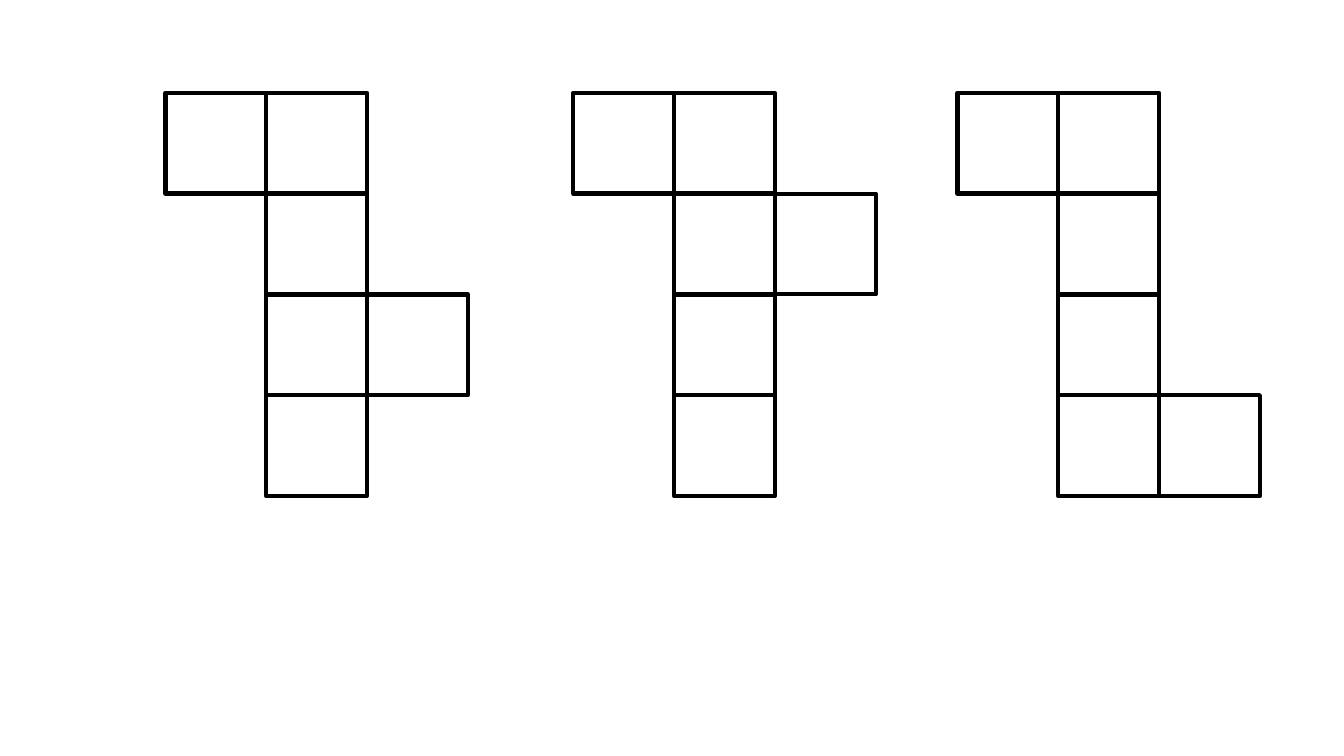
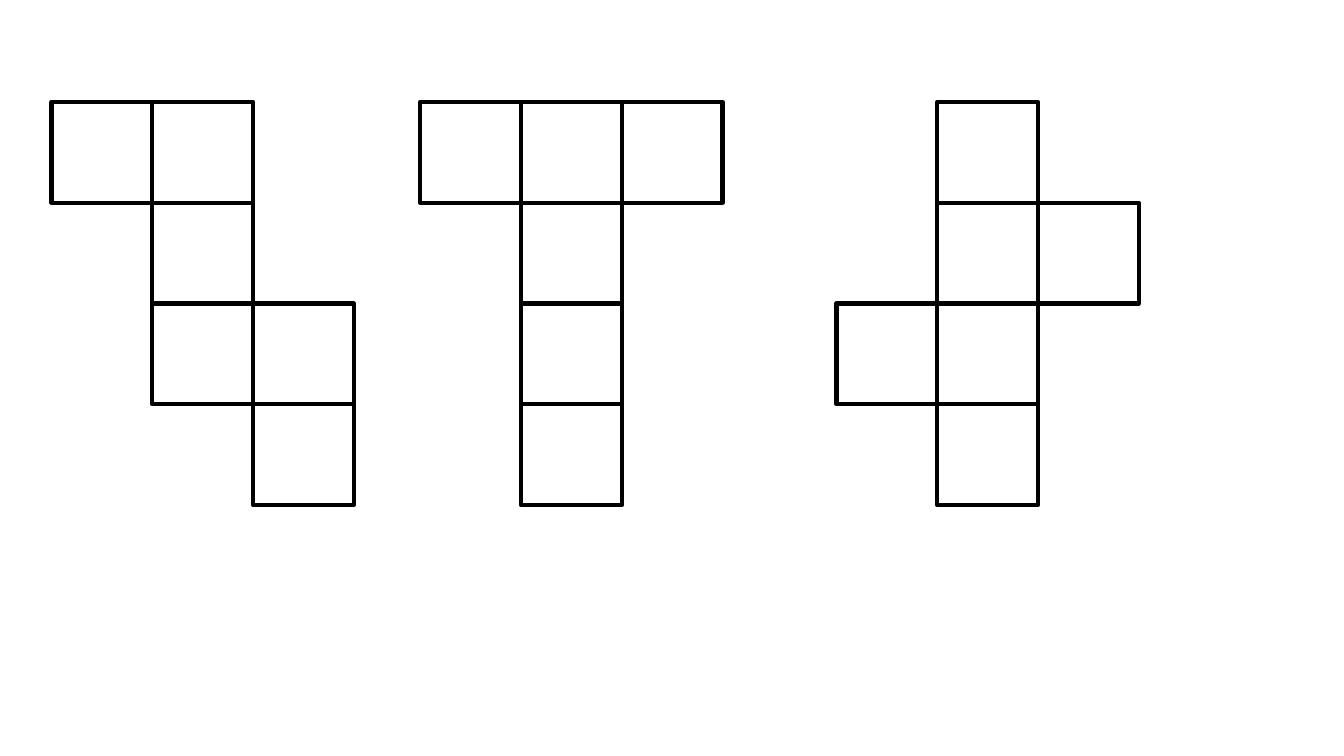
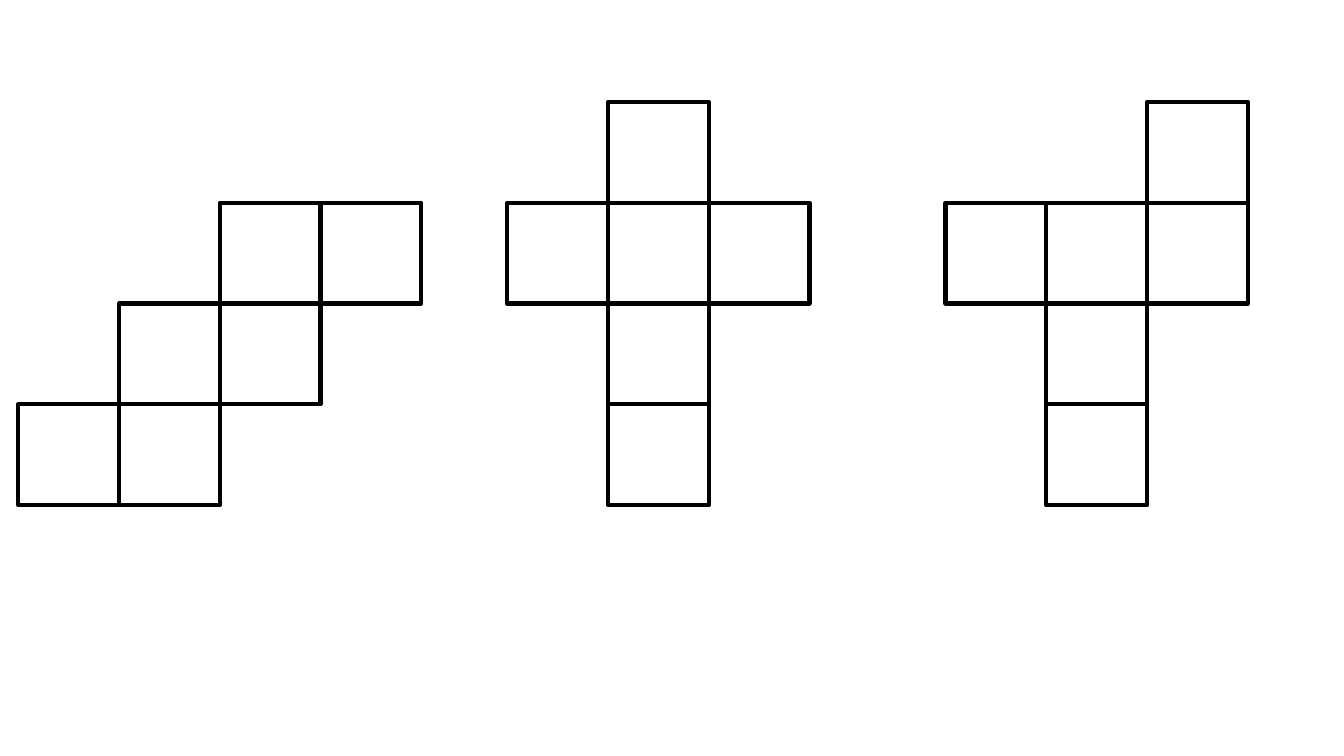
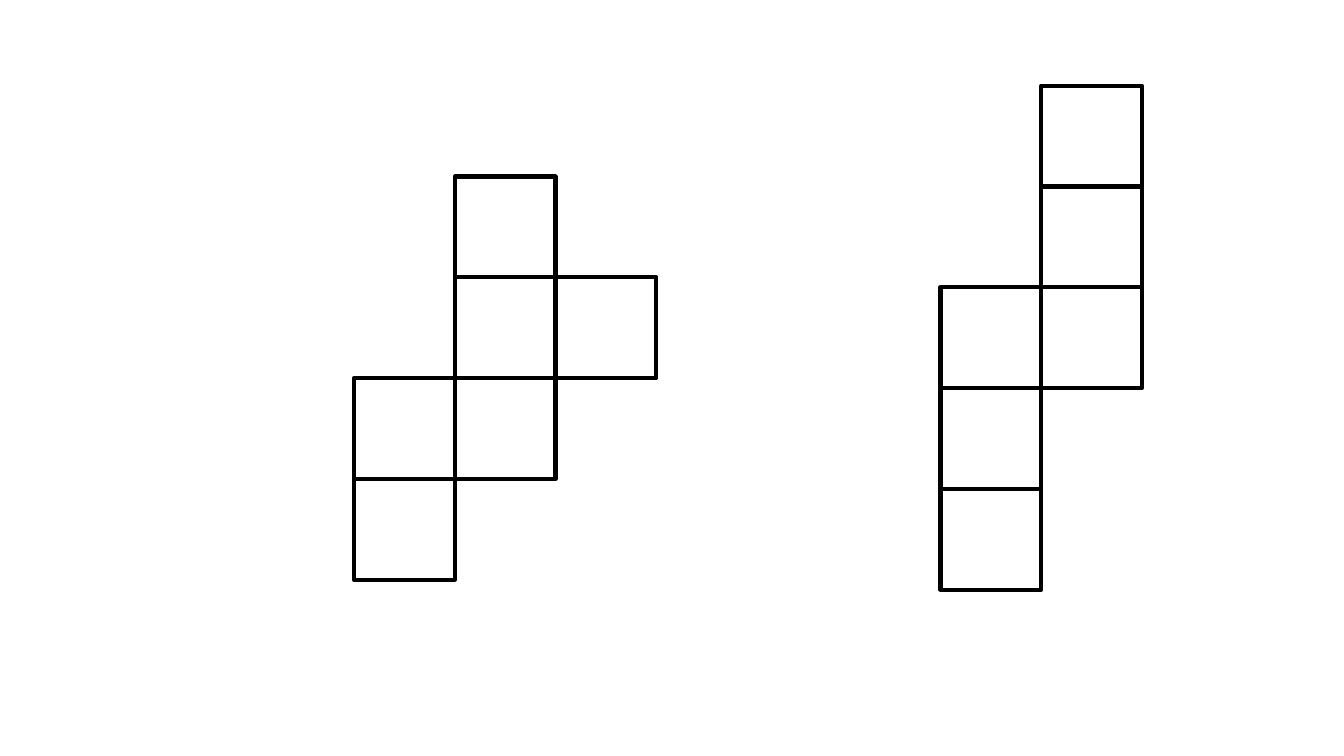
from typing import NamedTuple

from pptx import Presentation
from pptx.dml.color import RGBColor
from pptx.enum.shapes import MSO_SHAPE as Shape
from pptx.slide import Slide
from pptx.util import Cm, Pt

SIDE = 2.54
LINE_COLOR = "000000"
LINE_WIDTH = 3


class CubeNet(NamedTuple):
    """Unfolded cube: top left corner in cm and rows in which # is a face."""
    left: float
    top: float
    rows: tuple[str, ...]


SLIDES = [
    [
        CubeNet(4.17, 2.34, ("##", ".#", ".##", ".#")),
        CubeNet(14.45, 2.34, ("##", ".##", ".#", ".#")),
        CubeNet(24.13, 2.34, ("##", ".#", ".#", ".##")),
    ],
    [
        CubeNet(1.3, 2.57, ("##", ".#", ".##", "..#")),
        CubeNet(10.59, 2.57, ("###", ".#", ".#", ".#")),
        CubeNet(21.08, 2.57, (".#", ".##", "##", ".#")),
    ],
    [
        CubeNet(0.46, 5.11, ("..##", ".##", "##")),
        CubeNet(12.78, 2.57, (".#", "###", ".#", ".#")),
        CubeNet(23.83, 2.57, ("..#", "###", ".#", ".#")),
    ],
    [
        CubeNet(8.92, 4.45, (".#", ".##", "##", "#")),
        CubeNet(23.7, 2.16, (".#", ".#", "##", "#", "#")),
    ],
]


def color(value: str) -> RGBColor:
    return RGBColor.from_string(value)


def draw_net(s: Slide, net: CubeNet) -> None:
    """Draw the faces of one net as a group of outlined squares."""
    group = s.shapes.add_group_shape()
    for row, cells in enumerate(net.rows):
        for col, cell in enumerate(cells):
            if cell != "#":
                continue
            face = group.shapes.add_shape(
                Shape.RECTANGLE,
                Cm(net.left + col * SIDE), Cm(net.top + row * SIDE),
                Cm(SIDE), Cm(SIDE))
            face.shadow.inherit = False
            face.fill.background()
            face.line.color.rgb = color(LINE_COLOR)
            face.line.width = Pt(LINE_WIDTH)


def main() -> None:
    prs = Presentation()
    prs.slide_width, prs.slide_height = Cm(33.87), Cm(19.05)
    blank = prs.slide_layouts[6]
    for nets in SLIDES:
        s = prs.slides.add_slide(blank)
        for net in nets:
            draw_net(s, net)
    prs.save("out.pptx")


if __name__ == "__main__":
    main()
